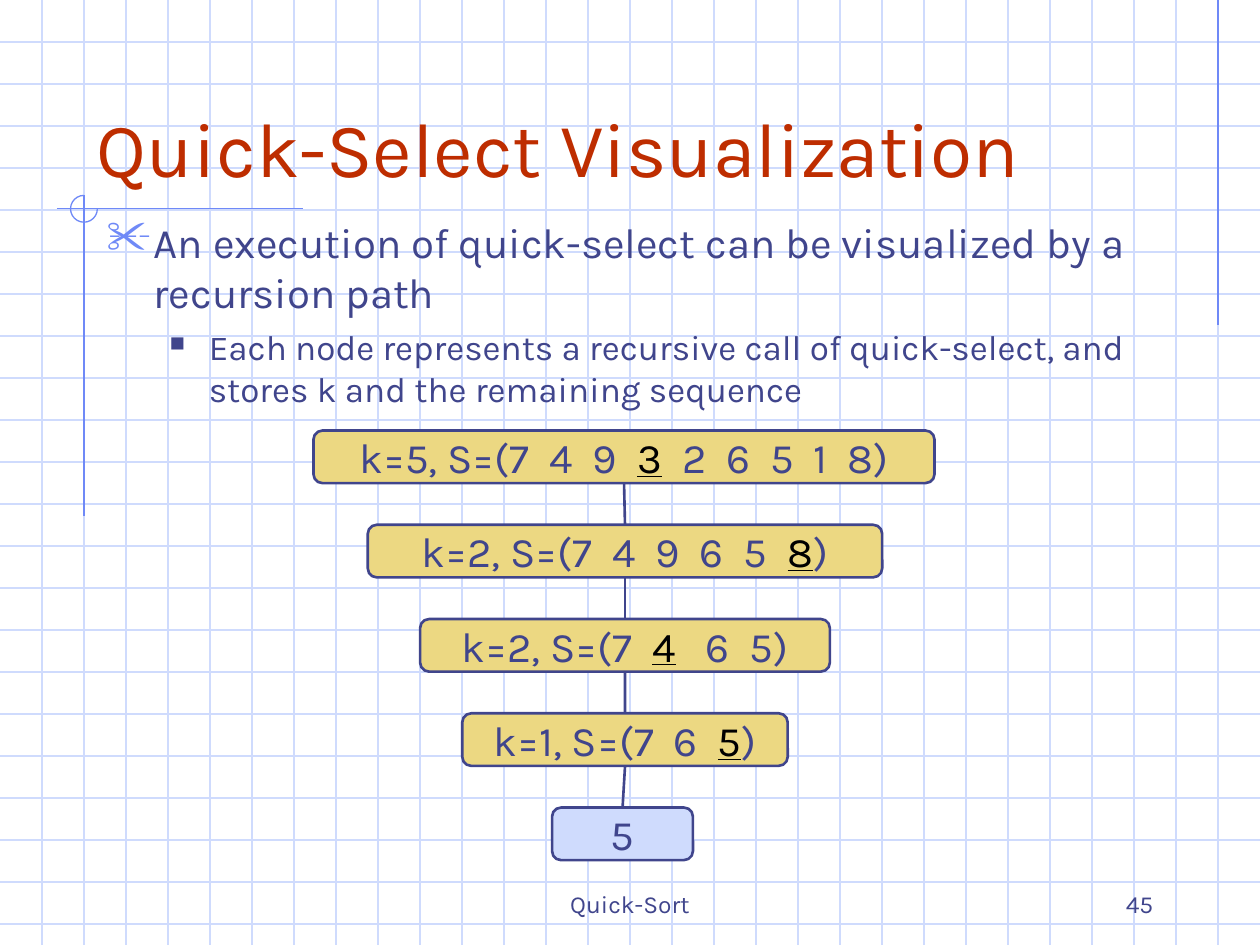
from dataclasses import dataclass

from lxml import etree
from pptx import Presentation
from pptx import util as u
from pptx.dml.color import RGBColor
from pptx.enum import shapes, text
from pptx.oxml.ns import qn


@dataclass(frozen=True)
class Theme:
    font: str = "Karla"
    ink: str = "40458C"
    title: str = "BE2D00"
    accent: str = "6F89F7"
    pale: str = "CFDBFD"
    node: str = "ECD882"
    pivot: str = "000000"
    title_size: int = 44
    body_size: int = 24
    detail_size: int = 20
    footer_size: int = 14
    thin: float = 0.75
    thick: float = 1.5


THEME = Theme()
WIDTH, HEIGHT = u.Cm(25.4), u.Cm(19.05)
GRID_STEP = WIDTH / 30

# Centre and width in cm, fill, then text before, at and after the pivot
NODES = [
    (12.58, 12.52, THEME.node, ("k=5, S=(7  4  9  ", "3", "  2  6  5  1  8)")),
    (12.6, 10.37, THEME.node, ("k=2, S=(7  4  9  6  5  ", "8", ")")),
    (12.6, 8.26, THEME.node, ("k=2, S=(7  ", "4", "   6  5)")),
    (12.6, 6.56, THEME.node, ("k=1, S=(7  6  ", "5", ")")),
    (12.55, 2.84, THEME.pale, ("5", "", "")),
]
NODE_TOP, NODE_PITCH, NODE_HEIGHT = 8.68, 1.9, 1.06


def rgb(value):
    return RGBColor.from_string(value)


def style_line(shape, color, width):
    shape.line.color.rgb = rgb(color)
    shape.line.width = u.Pt(width)


def style_run(run, size, color):
    run.font.name = THEME.font
    run.font.size = u.Pt(size)
    run.font.color.rgb = rgb(color)


def add_line(slide, start, end, color, width=THEME.thin):
    line = slide.shapes.add_connector(
        shapes.MSO_CONNECTOR.STRAIGHT, *(round(value) for value in (*start, *end)))
    style_line(line, color, width)
    etree.SubElement(line._element.spPr, qn("a:effectLst"))
    return line


def add_text(slide, box, lines, size, color,
             anchor=text.MSO_ANCHOR.BOTTOM, align=text.PP_ALIGN.LEFT):
    """Add a wrapping text box and return its paragraphs."""
    frame = slide.shapes.add_textbox(*(u.Cm(value) for value in box)).text_frame
    frame.word_wrap = True
    frame.vertical_anchor = anchor
    frame.text = "\n".join(lines)
    for paragraph in frame.paragraphs:
        paragraph.alignment = align
        for run in paragraph.runs:
            style_run(run, size, color)
    return frame.paragraphs


def add_bullet(paragraph, mark, color, percent, margin, hanging, space):
    paragraph.space_before = u.Pt(space)
    properties = paragraph._p.get_or_add_pPr()
    properties.set("marL", str(u.Cm(margin)))
    properties.set("indent", str(-u.Cm(hanging)))
    bullet_color = etree.SubElement(properties, qn("a:buClr"))
    etree.SubElement(bullet_color, qn("a:srgbClr"), val=color)
    etree.SubElement(properties, qn("a:buSzPct"), val=str(percent * 1000))
    etree.SubElement(properties, qn("a:buChar"), char=mark)


def add_grid(slide):
    for row in range(1, 23):
        y = row * GRID_STEP
        add_line(slide, (0, y), (WIDTH, y), THEME.pale)
    for column in range(1, 30):
        x = column * GRID_STEP
        add_line(slide, (x, 0), (x, HEIGHT), THEME.pale)


def add_ornament(slide):
    """Draw the margin lines and the open circle where two of them cross."""
    left, right, cross, radius = 2 * GRID_STEP, 29 * GRID_STEP, u.Cm(4.21), u.Cm(0.27)
    add_line(slide, (right, 0), (right, u.Cm(6.56)), THEME.accent)
    add_line(slide, (u.Cm(1.15), cross), (u.Cm(6.1), cross), THEME.accent)
    add_line(slide, (left, cross - radius), (left, u.Cm(10.4)), THEME.accent)
    arc = slide.shapes.add_shape(
        shapes.MSO_SHAPE.ARC, round(left - radius), cross - radius, 2 * radius, 2 * radius)
    arc.adjustments[0] = 0
    arc.adjustments[1] = 162  # 270 degrees, in units of 100000/60000 degree
    arc.fill.background()
    arc.shadow.inherit = False
    style_line(arc, THEME.accent, THEME.thin)


def add_node(slide, row, center, width, fill, parts):
    node = slide.shapes.add_shape(
        shapes.MSO_SHAPE.ROUNDED_RECTANGLE,
        u.Cm(center - width / 2), u.Cm(NODE_TOP + row * NODE_PITCH),
        u.Cm(width), u.Cm(NODE_HEIGHT))
    node.adjustments[0] = 0.17
    node.shadow.inherit = False
    node.fill.solid()
    node.fill.fore_color.rgb = rgb(fill)
    style_line(node, THEME.ink, THEME.thick)
    frame = node.text_frame
    frame.word_wrap = False
    frame.vertical_anchor = text.MSO_ANCHOR.MIDDLE
    paragraph = frame.paragraphs[0]
    paragraph.alignment = text.PP_ALIGN.CENTER
    for part, color in zip(parts, (THEME.ink, THEME.pivot, THEME.ink)):
        if part:
            run = paragraph.add_run()
            run.text = part
            style_run(run, THEME.body_size, color)
            run.font.underline = color == THEME.pivot
    return node


def add_recursion_path(slide):
    nodes = [add_node(slide, row, *node) for row, node in enumerate(NODES)]
    for parent, child in zip(nodes, nodes[1:]):
        edge = add_line(slide, (0, 0), (0, 0), THEME.ink, THEME.thick)
        edge.begin_connect(parent, 2)
        edge.end_connect(child, 0)


def add_body(slide):
    main_point, detail = add_text(
        slide, (1.9, 4.23, 21.8, 5.5),
        ["An execution of quick-select can be visualized by a recursion path",
         "Each node represents a recursive call of quick-select, "
         "and stores k and the remaining sequence"],
        THEME.body_size, THEME.ink, anchor=text.MSO_ANCHOR.TOP)
    add_bullet(main_point, "✂", THEME.accent, 110, margin=0.95, hanging=0.95, space=6)
    detail.level = 1
    detail.runs[0].font.size = u.Pt(THEME.detail_size)
    add_bullet(detail, "■", THEME.ink, 60, margin=2.06, hanging=0.79, space=5)


def main():
    presentation = Presentation()
    presentation.slide_width, presentation.slide_height = WIDTH, HEIGHT
    slide = presentation.slides.add_slide(presentation.slide_layouts[6])
    add_grid(slide)
    add_ornament(slide)
    add_text(slide, (8.68, 17.36, 8.04, 1.27), ["Quick-Sort"],
             THEME.footer_size, THEME.ink, align=text.PP_ALIGN.CENTER)
    add_text(slide, (18.2, 17.36, 5.3, 1.27), ["45"],
             THEME.footer_size, THEME.ink, align=text.PP_ALIGN.RIGHT)
    add_text(slide, (1.7, 0.85, 21.59, 3.17), ["Quick-Select Visualization"],
             THEME.title_size, THEME.title)
    add_body(slide)
    add_recursion_path(slide)
    presentation.save("out.pptx")


if __name__ == "__main__":
    main()
